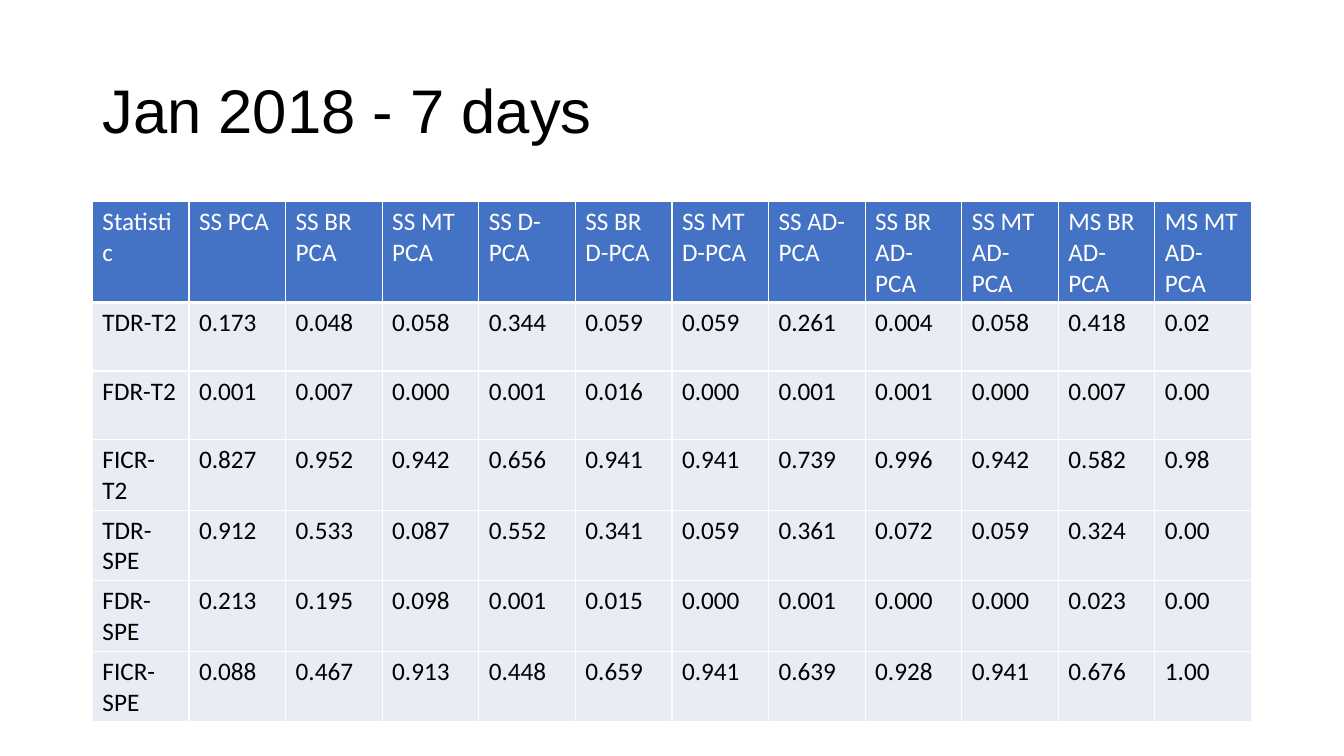
from lxml.etree import SubElement
from pptx import Presentation
from pptx.dml.color import RGBColor
from pptx.enum.text import MSO_ANCHOR
from pptx.oxml.ns import qn
from pptx.util import Pt


def color(hex_code):
    return RGBColor.from_string(hex_code)


class StatsSlide:
    """Holds the style and the current slide."""
    WHITE, BLACK, HEADER, BODY = "FFFFFF", "000000", "4472C4", "E9EBF5"
    TITLE_FONT = {"name": "Arial", "size": Pt(44)}
    CELL_FONT = {"name": "Calibri", "size": Pt(18), "bold": False}

    def __init__(self, presentation):
        self.slide = presentation.slides.add_slide(presentation.slide_layouts[6])

    def add_wording(self, frame, text, font_values, hex_code):
        paragraph = frame.paragraphs[0]
        run = paragraph.add_run()
        run.text = text
        for attribute, value in font_values.items():
            setattr(run.font, attribute, value)
        run.font.color.rgb = color(hex_code)
        return paragraph

    def title(self, text, left, top, width, height):
        frame = self.slide.shapes.add_textbox(
            Pt(left), Pt(top), Pt(width), Pt(height)).text_frame
        frame.word_wrap = True
        frame.vertical_anchor = MSO_ANCHOR.MIDDLE
        self.add_wording(frame, text, self.TITLE_FONT, self.BLACK).line_spacing = 0.9

    def borders(self, cell, bottom):
        properties = cell._tc.get_or_add_tcPr()
        for side, width in {"L": 1, "R": 1, "T": 1, "B": bottom}.items():
            line = SubElement(properties, qn(f"a:ln{side}"), w=str(Pt(width)))
            fill = SubElement(line, qn("a:solidFill"))
            SubElement(fill, qn("a:srgbClr"), val=self.WHITE)

    def table(self, rows, left, top, column_width, row_height):
        columns = len(rows[0])
        grid = self.slide.shapes.add_table(
            len(rows), columns, Pt(left), Pt(top),
            Pt(column_width * columns), Pt(row_height * len(rows))).table
        grid.horz_banding = False
        for column in grid.columns:
            column.width = Pt(column_width)
        for r, values in enumerate(rows):
            grid.rows[r].height = Pt(row_height)
            is_header = r == 0
            for c, value in enumerate(values):
                cell = grid.cell(r, c)
                self.borders(cell, bottom=3 if is_header else 1)
                cell.fill.solid()
                cell.fill.fore_color.rgb = color(self.HEADER if is_header else self.BODY)
                self.add_wording(cell.text_frame, value, self.CELL_FONT,
                                 self.WHITE if is_header else self.BLACK)


# Detection statistics by method
methods = ["SS PCA", "SS BR PCA", "SS MT PCA", "SS D-PCA", "SS BR D-PCA", "SS MT D-PCA",
           "SS AD-PCA", "SS BR AD-PCA", "SS MT AD-PCA", "MS BR AD-PCA", "MS MT AD-PCA"]
statistics = {
    "TDR-T2": "0.173 0.048 0.058 0.344 0.059 0.059 0.261 0.004 0.058 0.418 0.02",
    "FDR-T2": "0.001 0.007 0.000 0.001 0.016 0.000 0.001 0.001 0.000 0.007 0.00",
    "FICR-T2": "0.827 0.952 0.942 0.656 0.941 0.941 0.739 0.996 0.942 0.582 0.98",
    "TDR-SPE": "0.912 0.533 0.087 0.552 0.341 0.059 0.361 0.072 0.059 0.324 0.00",
    "FDR-SPE": "0.213 0.195 0.098 0.001 0.015 0.000 0.001 0.000 0.000 0.023 0.00",
    "FICR-SPE": "0.088 0.467 0.913 0.448 0.659 0.941 0.639 0.928 0.941 0.676 1.00",
}
rows = [["Statistic", *methods]]
rows += [[name, *values.split()] for name, values in statistics.items()]

presentation = Presentation()
presentation.slide_width, presentation.slide_height = Pt(960), Pt(540)
january = StatsSlide(presentation)

# Title and results table share the left margin
MARGIN = 66
january.title("Jan 2018 - 7 days", MARGIN, 28.75, 828, 104.4)
january.table(rows, MARGIN, 144, column_width=69, row_height=49)

presentation.save("out.pptx")
